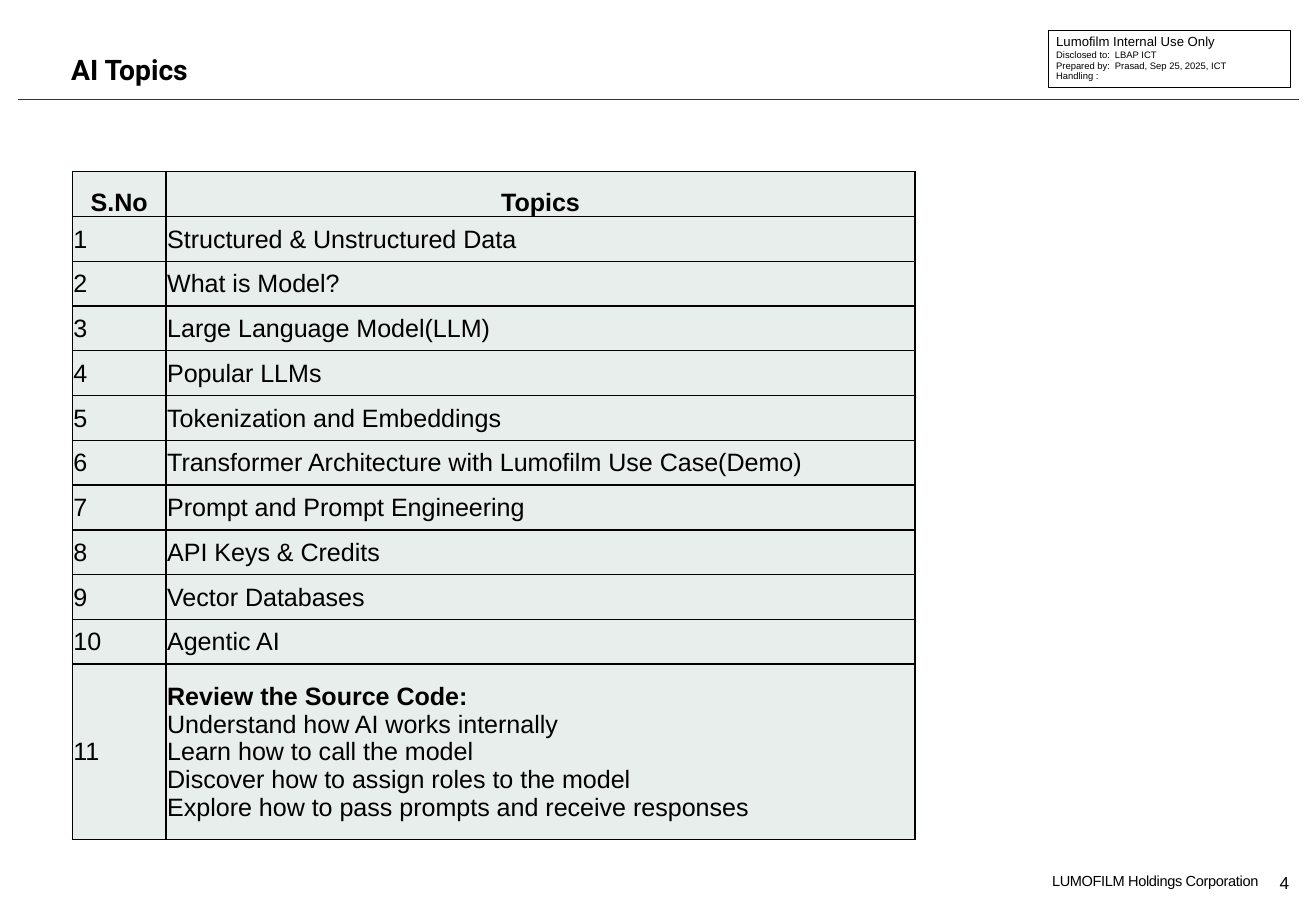
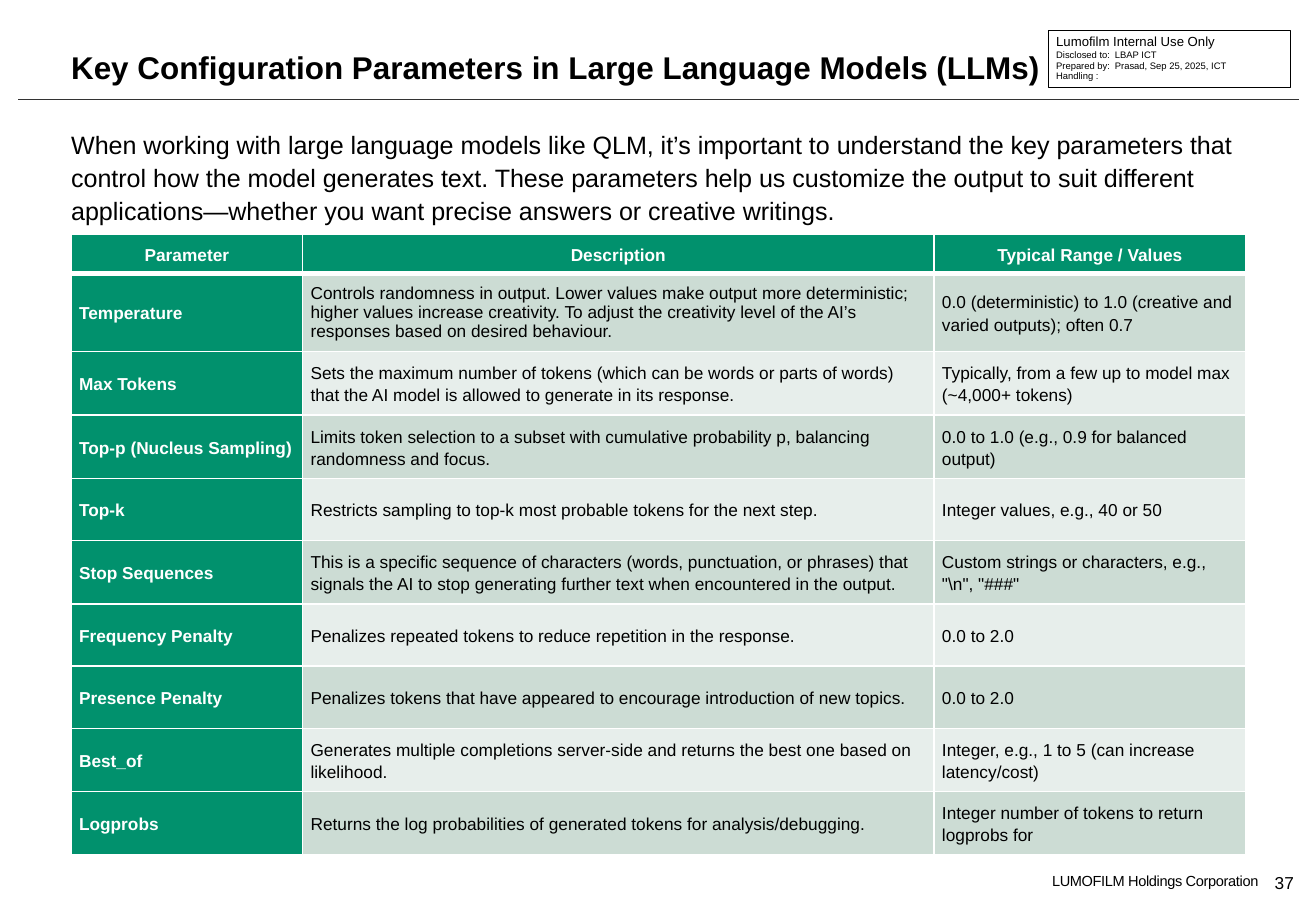
import lxml.etree
import pptx
import pptx.dml.color
import pptx.enum.shapes
import pptx.enum.text
import pptx.oxml.ns
import pptx.util

Inches = pptx.util.Inches
Pt = pptx.util.Pt
Align = pptx.enum.text.PP_ALIGN
Anchor = pptx.enum.text.MSO_ANCHOR
qn = pptx.oxml.ns.qn


def rgb(code):
    return pptx.dml.color.RGBColor.from_string(code)


class Theme:
    wide, high = 11.65, 8.07
    ink, paper, rule = "000000", "FFFFFF", "333333"
    green, mint, pale = "01916D", "CCDCD4", "E7EEEB"
    title = {"name": "Arial", "size": Pt(20), "bold": True}
    topic = {"name": "Roboto", "size": Pt(18), "bold": True}
    body = {"name": "Arial", "size": Pt(16), "bold": False}
    strong = {**body, "bold": True}
    cell = {"name": "Arial", "size": Pt(11), "bold": False}
    head = {**cell, "bold": True}
    foot = {"name": "Arial", "size": Pt(9.3)}
    mark = {"name": "Arial", "size": Pt(8.4)}
    tiny = {"name": "Arial", "size": Pt(6)}
    loose = {"line_spacing": 1.15, "space_after": Pt(8)}
    tight = {"line_spacing": Pt(6.8)}
    center = {"alignment": Align.CENTER}


TOPICS = [
    "Structured & Unstructured Data",
    "What is Model?",
    "Large Language Model(LLM)",
    "Popular LLMs",
    "Tokenization and Embeddings",
    "Transformer Architecture with Lumofilm Use Case(Demo)",
    "Prompt and Prompt Engineering",
    "API Keys & Credits",
    "Vector Databases",
    "Agentic AI",
    "Review the Source Code:\n"
    "Understand how AI works internally\n"
    "Learn how to call the model\n"
    "Discover how to assign roles to the model\n"
    "Explore how to pass prompts and receive responses",
]

INTRO = (
    "When working with large language models like QLM, it’s important to "
    "understand the key parameters that control how the model generates text. "
    "These parameters help us customize the output to suit different "
    "applications—whether you want precise answers or creative writings."
)

PARAMS = [
    ("Parameter", "Description", "Typical Range / Values"),
    ("Temperature",
     "Controls randomness in output. Lower values make output more "
     "deterministic; higher values increase creativity. To adjust the "
     "creativity level of the AI’s responses based on desired behaviour.",
     "0.0 (deterministic) to 1.0 (creative and varied outputs); often 0.7"),
    ("Max Tokens",
     "Sets the maximum number of tokens (which can be words or parts of "
     "words) that the AI model is allowed to generate in its response.",
     "Typically, from a few up to model max (~4,000+ tokens)"),
    ("Top-p (Nucleus Sampling)",
     "Limits token selection to a subset with cumulative probability p, "
     "balancing randomness and focus.",
     "0.0 to 1.0 (e.g., 0.9 for balanced output)"),
    ("Top-k",
     "Restricts sampling to top-k most probable tokens for the next step.",
     "Integer values, e.g., 40 or 50"),
    ("Stop Sequences",
     "This is a specific sequence of characters (words, punctuation, or "
     "phrases) that signals the AI to stop generating further text when "
     "encountered in the output.",
     'Custom strings or characters, e.g., "\\n", "###"'),
    ("Frequency Penalty",
     "Penalizes repeated tokens to reduce repetition in the response.",
     "0.0 to 2.0"),
    ("Presence Penalty",
     "Penalizes tokens that have appeared to encourage introduction of new "
     "topics.",
     "0.0 to 2.0"),
    ("Best_of",
     "Generates multiple completions server-side and returns the best one "
     "based on likelihood.",
     "Integer, e.g., 1 to 5 (can increase latency/cost)"),
    ("Logprobs",
     "Returns the log probabilities of generated tokens for "
     "analysis/debugging.",
     "Integer number of tokens to return logprobs for"),
]


def apply(item, format):
    for key, value in format.items():
        setattr(item, key, value)


def put(frame, text, look, para=None, color=Theme.ink):
    """Fill a text frame, one paragraph a line."""
    for i, line in enumerate(text.split("\n")):
        part = frame.add_paragraph() if i else frame.paragraphs[0]
        apply(part, para or {})
        run = part.add_run()
        run.text = line
        apply(run.font, look)
        run.font.color.rgb = rgb(color)


def label(slide, box, text, look, para=None, anchor=Anchor.TOP):
    shape = slide.shapes.add_textbox(*map(Inches, box))
    apply(shape.text_frame, {
        "word_wrap": True, "vertical_anchor": anchor,
        "margin_left": 0, "margin_right": 0,
        "margin_top": 0, "margin_bottom": 0})
    put(shape.text_frame, text, look, para)
    return shape


def notice(slide, box):
    """Disclosure box in the top right corner."""
    left, top, wide, high = box
    kind = pptx.enum.shapes.MSO_SHAPE.RECTANGLE
    panel = slide.shapes.add_shape(kind, *map(Inches, box))
    panel.shadow.inherit = False
    panel.fill.solid()
    panel.fill.fore_color.rgb = rgb(Theme.paper)
    tint = panel._element.spPr.find(".//" + qn("a:srgbClr"))
    lxml.etree.SubElement(tint, qn("a:alpha"), val="75000")
    panel.line.color.rgb = rgb(Theme.ink)
    panel.line.width = Pt(0.5)
    inner = left + 0.07
    label(slide, (inner, top + 0.03, wide - 0.22, 0.13),
          "Lumofilm Internal Use Only", Theme.mark, anchor=Anchor.MIDDLE)
    label(slide, (inner, top + 0.17, 0.5, 0.38),
          "Disclosed to:\nPrepared by:\nHandling :", Theme.tiny, Theme.tight)
    label(slide, (inner + 0.52, top + 0.17, wide - 0.68, 0.36),
          "LBAP ICT\nPrasad, Sep 25, 2025, ICT", Theme.tiny, Theme.tight)


def footer(slide, box, page):
    """Owner's name and page number."""
    left, top, wide, high = box
    owner = label(slide, (left, top, 2.35, high),
                  "LUMOFILM Holdings Corporation", Theme.foot,
                  {"alignment": Align.RIGHT})
    for run in owner.text_frame.paragraphs[0].runs:
        run._r.get_or_add_rPr().set("spc", "-20")
    label(slide, (left + wide - 0.38, top + 0.01, 0.38, high), str(page),
          Theme.cell, Theme.center, Anchor.MIDDLE)


def base(deck, page):
    """Blank slide with the parts that every slide shares."""
    slide = deck.slides.add_slide(deck.slide_layouts[6])
    kind = pptx.enum.shapes.MSO_CONNECTOR.STRAIGHT
    rule = slide.shapes.add_connector(
        kind, *map(Inches, (0.16, 0.88, 11.5, 0.88)))
    rule.line.color.rgb = rgb(Theme.rule)
    rule.line.width = Pt(0.75)
    lxml.etree.SubElement(rule._element.spPr, qn("a:effectLst"))
    notice(slide, (9.28, 0.27, 2.14, 0.5))
    footer(slide, (8.79, 7.72, 2.77, 0.16), page)
    return slide


def edge(cell, color, sides):
    """Draw cell borders; sides gives widths in points by L, R, T, B."""
    props = cell._tc.get_or_add_tcPr()
    for i, side in enumerate("LRTB"):
        line = lxml.etree.Element(
            qn("a:ln" + side), w=str(Pt(sides.get(side, 1))))
        fill = lxml.etree.SubElement(line, qn("a:solidFill"))
        lxml.etree.SubElement(fill, qn("a:srgbClr"), val=color)
        props.insert(i, line)


def grid(slide, box, cols, rows):
    """Plain table with the given column widths and row heights."""
    table = slide.shapes.add_table(
        len(rows), len(cols), *map(Inches, box)).table
    apply(table, {"first_row": False, "horz_banding": False})
    for col, wide in zip(table.columns, cols):
        col.width = Inches(wide)
    for row, high in zip(table.rows, rows):
        row.height = Inches(high)
    return table


def paint(cell, fill, pads, anchor=Anchor.MIDDLE):
    keys = ("margin_left", "margin_top", "margin_right", "margin_bottom")
    apply(cell, dict(zip(keys, map(Inches, pads))))
    cell.vertical_anchor = anchor
    cell.fill.solid()
    cell.fill.fore_color.rgb = rgb(fill)


def agenda(slide, box):
    """Numbered list of topics."""
    left, top, wide, high = box
    first, last = 0.83, 1.55
    count = len(TOPICS)
    rows = [(high - last) / count] * count + [last]
    table = grid(slide, box, (first, wide - first), rows)
    data = [("S.No", "Topics")]
    data += [(str(i), topic) for i, topic in enumerate(TOPICS, 1)]
    for r, row in enumerate(data):
        for c, text in enumerate(row):
            cell = table.cell(r, c)
            paint(cell, Theme.pale, (0.01, 0.01, 0.01, 0),
                  Anchor.MIDDLE if r else Anchor.BOTTOM)
            edge(cell, Theme.ink, {})
            put(cell.text_frame, text, Theme.body if r else Theme.strong,
                None if r else Theme.center)
    # Heading inside the last topic
    review = table.cell(count, 1).text_frame.paragraphs[0]
    review.runs[0].font.bold = True


def matrix(slide, box):
    """Parameter table with green head row and first column."""
    rows = [0.35] + [0.55] * (len(PARAMS) - 1)
    table = grid(slide, box, (2.05, 5.59, 2.76), rows)
    for r, row in enumerate(PARAMS):
        for c, text in enumerate(row):
            cell = table.cell(r, c)
            key = r == 0 or c == 0
            band = Theme.mint if r % 2 else Theme.pale
            paint(cell, Theme.green if key else band, [0.07] * 4)
            edge(cell, Theme.paper, {0: {"B": 3}, 1: {"T": 3}}.get(r, {}))
            # The longest description is set solid
            para = {} if (r, c) == (1, 1) else dict(Theme.loose)
            if r == 0:
                para.update(Theme.center)
            put(cell.text_frame, text, Theme.head if key else Theme.cell,
                para, Theme.paper if key else Theme.ink)


def main():
    deck = pptx.Presentation()
    apply(deck, {"slide_width": Inches(Theme.wide),
                 "slide_height": Inches(Theme.high)})

    # Topics
    slide = base(deck, 4)
    label(slide, (0.63, 0.17, 7.95, 0.59), "AI Topics", Theme.topic,
          Theme.loose, Anchor.BOTTOM)
    agenda(slide, (0.64, 1.52, 7.46, 5.91))

    # Parameters
    slide = base(deck, 37)
    label(slide, (0.63, 0.17, 8.74, 0.59),
          "Key Configuration Parameters in Large Language Models (LLMs)",
          Theme.title, anchor=Anchor.BOTTOM)
    label(slide, (0.63, 1.12, 10.39, 0.92), INTRO, Theme.body,
          {"line_spacing": 1.1, "space_after": Pt(4)})
    matrix(slide, (0.63, 2.07, 10.4, 5.3))

    deck.save("out.pptx")


if __name__ == "__main__":
    main()
